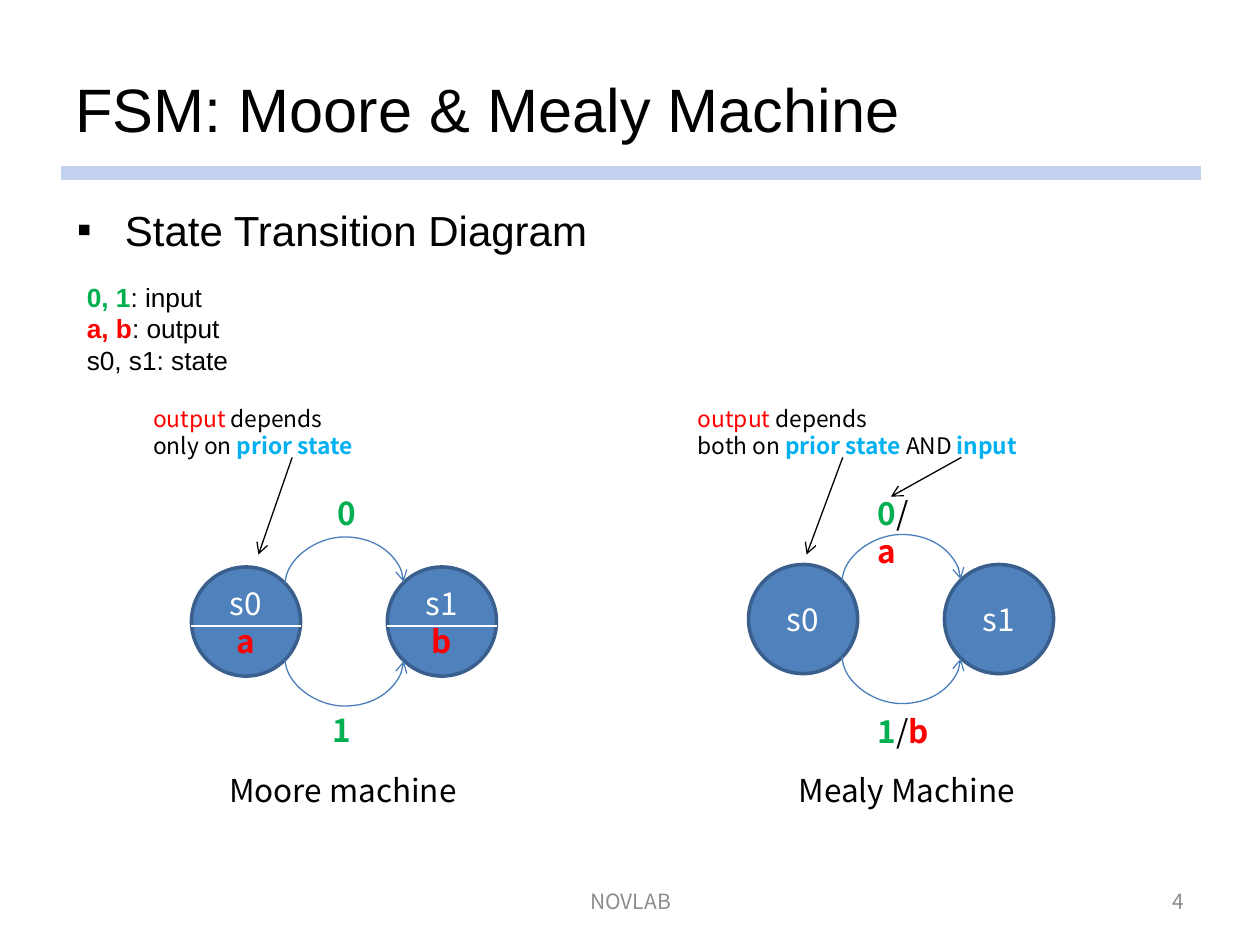
from dataclasses import dataclass
from lxml.etree import SubElement
from pptx import Presentation
from pptx.dml.color import RGBColor as Rgb
from pptx.enum.shapes import MSO_CONNECTOR as Link, MSO_SHAPE as Form
from pptx.enum.text import MSO_ANCHOR as Anchor, MSO_AUTO_SIZE as Fit, PP_ALIGN as Align
from pptx.oxml.ns import qn
from pptx.util import Cm, Pt


@dataclass(frozen=True)
class Theme:
    """Colours, fonts and type sizes of the slide."""
    black: str = "000000"
    white: str = "FFFFFF"
    red: str = "FF0000"
    green: str = "00B050"
    cyan: str = "00B0F0"
    gray: str = "8C8C8C"
    band: str = "C2D1ED"
    blue: str = "4F81BD"
    edge: str = "3A5F8C"
    curve: str = "4B7EBC"
    sans: str = "Arial"
    noto: str = "Noto Sans CJK KR"
    title: int = 35
    head: int = 24
    label: int = 18
    key: int = 15
    note: int = 13
    foot: int = 12


T = Theme()


def write(frame, *lines, size=T.label, font=T.noto, color=T.black,
          align=Align.LEFT, anchor=Anchor.TOP, wrap=False, fit=Fit.NONE):
    """Fill a frame with lines of (text, colour, bold) runs."""
    frame.word_wrap, frame.auto_size = wrap, fit
    frame.vertical_anchor = anchor
    for i, line in enumerate(lines):
        para = frame.paragraphs[0] if i == 0 else frame.add_paragraph()
        para.alignment = align
        for text, *look in [(line,)] if isinstance(line, str) else line:
            run = para.add_run()
            run.text = text
            run.font.size, run.font.name = Pt(size), font
            run.font.color.rgb = Rgb.from_string(look[0] if look else color)
            run.font.bold = bool(look[1:] and look[1])


class Deck:
    """Holds the theme and the current slide."""

    def __init__(self, show):
        """Add a title-only slide."""
        self.slide = show.slides.add_slide(show.slide_layouts[5])
        self.shapes = self.slide.shapes

    def title(self, text, x, y, w, h):
        """Place and format the title."""
        box = self.shapes.title
        box.left, box.top, box.width, box.height = map(Cm, (x, y, w, h))
        write(box.text_frame, text, size=T.title, font=T.sans,
              anchor=Anchor.MIDDLE, wrap=True)

    def text(self, x, y, w, h, *lines, **form):
        """Add a text box."""
        box = self.shapes.add_textbox(*map(Cm, (x, y, w, h)))
        write(box.text_frame, *lines, **form)
        return box

    def bullet(self, x, y, w, h, text):
        """Add a bulleted heading."""
        box = self.text(x, y, w, h, text, size=T.head, font=T.sans, fit=Fit.SHAPE_TO_FIT_TEXT)
        props = box.text_frame.paragraphs[0]._p.get_or_add_pPr()
        props.set("marL", str(Cm(0.97)))
        props.set("indent", str(-Cm(0.97)))
        SubElement(props, qn("a:buFont"), typeface=T.sans)
        SubElement(props, qn("a:buChar"), char="▪")

    def state(self, x, y, d, *lines):
        """Add a round state node."""
        node = self.shapes.add_shape(Form.OVAL, *map(Cm, (x, y, d, d)))
        node.shadow.inherit = False
        node.fill.solid()
        node.fill.fore_color.rgb = Rgb.from_string(T.blue)
        node.line.color.rgb = Rgb.from_string(T.edge)
        node.line.width = Pt(2)
        write(node.text_frame, *lines, color=T.white, align=Align.CENTER,
              anchor=Anchor.MIDDLE, wrap=True)

    def line(self, x1, y1, x2, y2, color=T.black, width=0.75, arrow=False, kind=Link.STRAIGHT):
        """Add a connector."""
        link = self.shapes.add_connector(kind, *map(Cm, (x1, y1, x2, y2)))
        link.line.color.rgb = Rgb.from_string(color)
        link.line.width = Pt(width)
        if arrow:
            SubElement(link.line._ln, qn("a:tailEnd"), type="arrow")
        SubElement(link._element.spPr, qn("a:effectLst"))
        return link

    def arc(self, x, y, span, rise, up):
        """Add a curved arrow from left to right, bulging up or down."""
        thin = 0.03
        left, top, end = x + (span - thin) / 2, y - span / 2, y + span / 2
        ends = (end, top) if up else (top, end)
        link = self.line(left + thin, ends[0], left, ends[1], T.curve,
                         arrow=True, kind=Link.CURVE)
        props = link._element.spPr
        props.find(qn("a:xfrm")).set("rot", str((90 if up else 270) * 60000))
        geom = props.find(qn("a:prstGeom"))
        geom.set("prst", "curvedConnector3")
        guides = geom.find(qn("a:avLst"))
        if guides is None:
            guides = SubElement(geom, qn("a:avLst"))
        SubElement(guides, qn("a:gd"), name="adj1", fmla=f"val {round(rise / thin * 100000)}")

    def graph(self, x, y, outs=()):
        """Add two states, their arcs and any state outputs."""
        size, step = 2.2, 3.95
        for i in range(2):
            mark = [[(outs[i], T.red, True)]] if outs else []
            self.state(x + i * step, y, size, f"s{i}", *mark)
        for drop, up in ((0.32, True), (1.88, False)):
            self.arc(x + 1.89, y + drop, 2.39, 0.94, up)
        for i in range(len(outs)):
            left = x + i * step
            self.line(left, y + 1.19, left + size, y + 1.19, T.white)


def main():
    """Build and save the slide."""
    show = Presentation()
    show.slide_width, show.slide_height = Cm(25.4), Cm(19.05)
    deck = Deck(show)
    grow = {"fit": Fit.SHAPE_TO_FIT_TEXT}

    deck.line(1.22, 3.48, 24.21, 3.48, T.band, 8)
    deck.title("FSM: Moore & Mealy Machine", 1.27, 0.76, 22.86, 2.82)
    deck.bullet(1.3, 3.99, 11, 1.3, "State Transition Diagram")
    deck.text(1.5, 5.54, 3.38, 2.18,
              [("0, 1", T.green, True), (": input",)],
              [("a, b", T.red, True), (": output",)],
              "s0, s1: state", size=T.key, font=T.sans, **grow)

    deck.graph(3.86, 11.43, "ab")
    deck.graph(15.09, 11.38)

    top = [("output", T.red), (" depends",)]
    prior = ("prior state", T.cyan, True)
    deck.text(2.84, 8.03, 4.57, 1.37, top, [("only on ",), prior], size=T.note, **grow)
    deck.text(13.82, 8.03, 7.16, 1.37, top,
              [("both on ",), prior, (" AND ",), ("input", T.cyan, True)],
              size=T.note, **grow)

    for x, y, digit in ((6.55, 9.83, "0"), (6.45, 14.2, "1")):
        deck.text(x, y, 0.89, 1.02, [(digit, T.green, True)], **grow)
    for y, w, digit, out, wrap in ((9.83, 1.47, "0", "a", True), (14.22, 1.52, "1", "b", False)):
        deck.text(17.45, y, w, 1.02,
                  [(digit, T.green, True), ("/",), (out, T.red, True)], wrap=wrap)
    for x, w, name in ((4.37, 5.11, "Moore machine"), (15.85, 4.93, "Mealy Machine")):
        deck.text(x, 15.42, w, 1.02, name, **grow)

    for x1, x2, y2 in ((5.89, 5.21, 11.18), (16.99, 16.26, 11.18), (19.38, 17.96, 10.01)):
        deck.line(x1, 9.22, x2, y2, arrow=True)

    for x, w, text, align in ((8.69, 8.05, "NOVLAB", Align.CENTER), (18.21, 5.92, "4", Align.RIGHT)):
        deck.text(x, 17.65, w, 1.02, text, size=T.foot, color=T.gray,
                  align=align, anchor=Anchor.MIDDLE, wrap=True)
    show.save("out.pptx")


if __name__ == "__main__":
    main()
